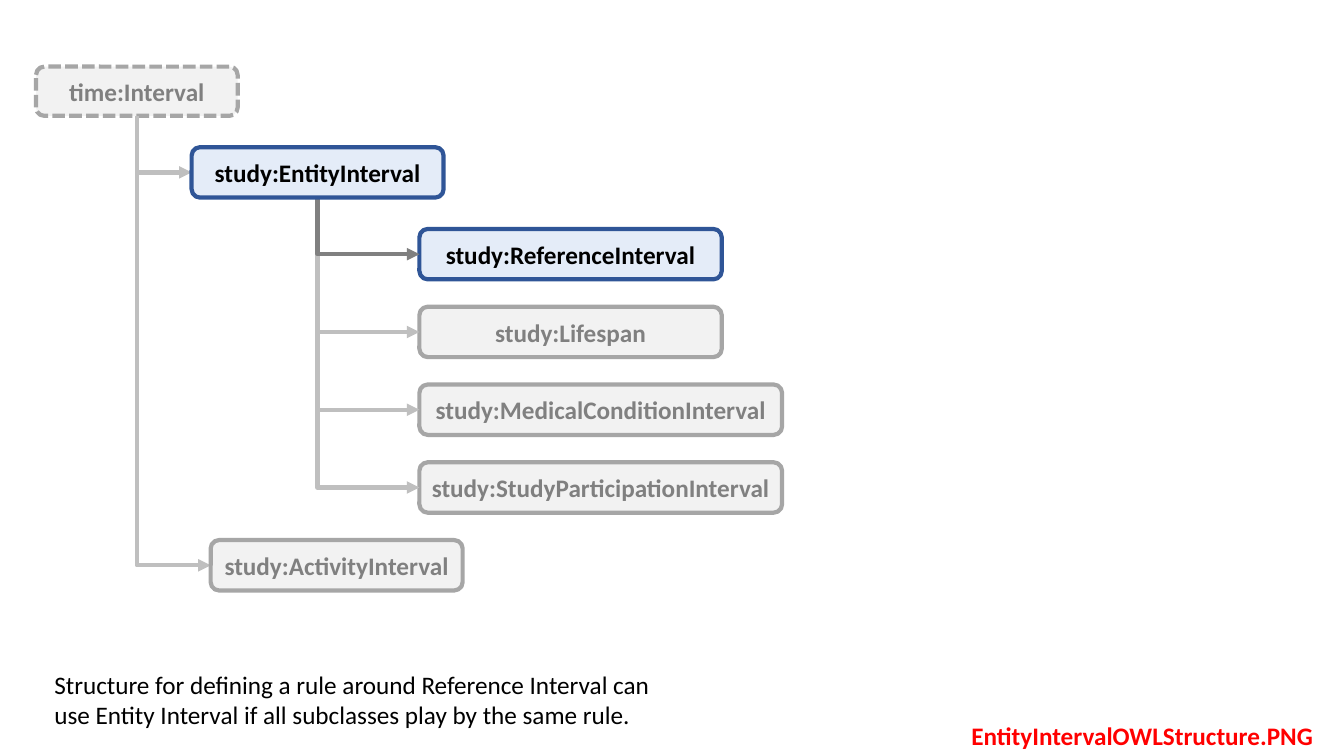
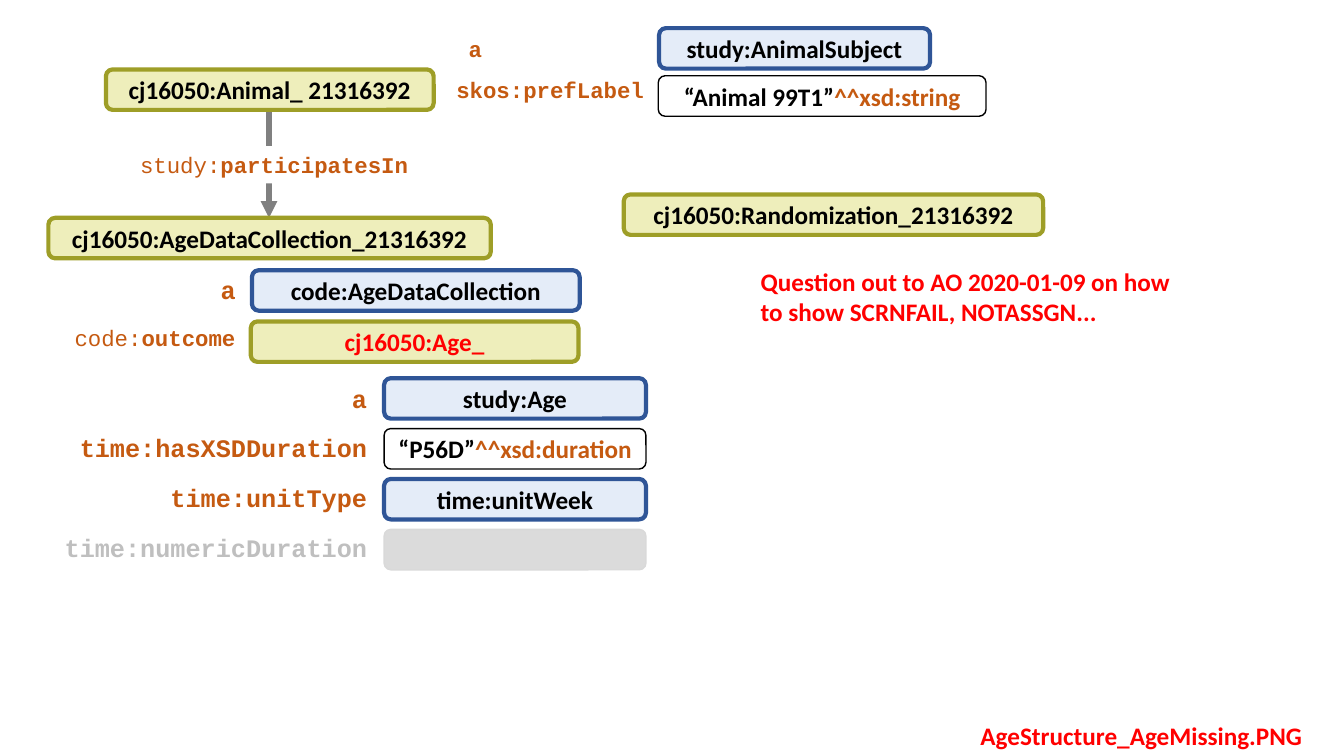
from lxml import etree
from pptx import Presentation
from pptx.dml.color import RGBColor
from pptx.enum import dml, shapes, text
from pptx.oxml import ns
from pptx.util import Cm, Pt

BLACK = RGBColor(0x00, 0x00, 0x00)
WHITE = RGBColor(0xFF, 0xFF, 0xFF)
RED = RGBColor(0xFF, 0x00, 0x00)
RUST = RGBColor(0xC5, 0x5A, 0x11)
DARK = RGBColor(0x80, 0x80, 0x80)
PALE = RGBColor(0xBF, 0xBF, 0xBF)
FOG = RGBColor(0xF2, 0xF2, 0xF2)
STEEL = RGBColor(0xA6, 0xA6, 0xA6)
ICE = RGBColor(0xE4, 0xEC, 0xF8)
NAVY = RGBColor(0x2F, 0x55, 0x97)
LIME = RGBColor(0xEE, 0xEE, 0xBB)
OLIVE = RGBColor(0x9E, 0x9E, 0x27)
ASH = RGBColor(0xDB, 0xDB, 0xDB)
RIM = RGBColor(0xD9, 0xD9, 0xD9)

MUTED = (FOG, STEEL, 3, DARK)
CLASS = (ICE, NAVY, 3, BLACK)
NODE = (LIME, OLIVE, 3, BLACK)
ALERT = (LIME, OLIVE, 3, RED)
VALUE = (WHITE, BLACK, 1, BLACK)
EMPTY = (ASH, RIM, 1, BLACK)

SANS, MONO = "Calibri", "Courier New"
LOW = 1.02
LEFT, RIGHT = text.PP_ALIGN.LEFT, text.PP_ALIGN.RIGHT


def write(frame, runs, align, face=SANS, size=18):
    """Fill a frame with one paragraph of (words, colour, bold) runs."""
    para = frame.paragraphs[0]
    para.alignment = align
    for words, color, bold in runs:
        run = para.add_run()
        run.text = words
        run.font.name, run.font.size = face, Pt(size)
        run.font.bold, run.font.color.rgb = bold, color


def box(page, x, y, wide, words, style, high=LOW, kind="", dash=False):
    """Add a rounded box with a bold name and an optional data type."""
    fill, edge, width, ink = style
    item = page.shapes.add_shape(shapes.MSO_SHAPE.ROUNDED_RECTANGLE,
                                 Cm(x), Cm(y), Cm(wide), Cm(high))
    item.shadow.inherit = False
    item.fill.solid()
    item.fill.fore_color.rgb = fill
    item.line.color.rgb, item.line.width = edge, Pt(width)
    if dash:
        item.line.dash_style = dml.MSO_LINE.SQUARE_DOT
    frame = item.text_frame
    frame.word_wrap = False
    frame.vertical_anchor = text.MSO_ANCHOR.MIDDLE
    runs = [(part, color, True) for part, color in ((words, ink), (kind, RUST)) if part]
    write(frame, runs, text.PP_ALIGN.CENTER)


def note(page, x, y, wide, high, runs, align=LEFT, face=SANS, size=18):
    """Add a wrapping text box."""
    item = page.shapes.add_textbox(Cm(x), Cm(y), Cm(wide), Cm(high))
    item.text_frame.word_wrap = True
    write(item.text_frame, runs, align, face, size)
    return item


def label(page, x, y, wide, words, head="", size=18, align=LEFT, ink=RUST):
    """Add a property name on white, with an optional light prefix."""
    runs = [(part, ink, bold) for part, bold in ((head, False), (words, True)) if part]
    item = note(page, x, y, wide, LOW if size == 18 else 0.94, runs, align, MONO, size)
    item.fill.solid()
    item.fill.fore_color.rgb = WHITE


def footer(page, x, wide, words):
    """Add the red file name at the foot."""
    note(page, x, 18.03, wide, LOW, [(words, RED, True)])


def arrow(page, kind, ends, color, width):
    """Add a connector with a triangle at its end."""
    item = page.shapes.add_connector(kind, *map(Cm, ends))
    item.line.color.rgb, item.line.width = color, Pt(width)
    line = item.line._get_or_add_ln()
    etree.SubElement(line, ns.qn("a:tailEnd"), type="triangle")
    etree.SubElement(item._element.spPr, ns.qn("a:effectLst"))
    return item


def bend(page, x, y, endx, endy, color=PALE):
    """Add an arrow that runs down, then right."""
    midx, midy = (x + endx) / 2, (y + endy) / 2
    halfx, halfy = (endx - x) / 2, (endy - y) / 2
    ends = midx + halfy, midy - halfx, midx - halfy, midy + halfx
    item = arrow(page, shapes.MSO_CONNECTOR.ELBOW, ends, color, 3)
    form = item._element.spPr
    form.find(ns.qn("a:xfrm")).set("rot", "16200000")
    form.find(ns.qn("a:prstGeom")).set("prst", "bentConnector2")


def tree(page):
    """Draw the interval class tree."""
    high = 1.27
    box(page, 0.91, 1.68, 5.08, "time:Interval", MUTED, 1.24, dash=True)
    leaves = (("ReferenceInterval", 7.62, CLASS, DARK),
              ("Lifespan", 7.62, MUTED, PALE),
              ("MedicalConditionInterval", 9.14, MUTED, PALE),
              ("StudyParticipationInterval", 9.14, MUTED, PALE))
    for row, (name, wide, style, color) in reversed(list(enumerate(leaves))):
        top = 5.77 + 1.96 * row
        box(page, 10.57, top, wide, "study:" + name, style, high)
        bend(page, 8, 4.98, 10.57, top + high / 2, color)
    for name, x, y, style in (("ActivityInterval", 5.31, 13.61, MUTED),
                              ("EntityInterval", 4.83, 3.71, CLASS)):
        bend(page, 3.45, 2.92, x, y + high / 2)
        box(page, x, y, 6.35, "study:" + name, style, high)
    note(page, 1.12, 16.74, 16.48, 1.8,
         [("Structure for defining a rule around Reference Interval can "
           "use Entity Interval if all subclasses play by the same rule. ", BLACK, False)])
    footer(page, 24.23, 9.27, "EntityIntervalOWLStructure.PNG")


def ages(page):
    """Draw the age data of one animal."""
    wide = 8.26
    arrow(page, shapes.MSO_CONNECTOR.STRAIGHT, (6.78, 2.77, 6.78, 5.49), DARK, 4)
    label(page, 3.28, 3.68, 10.67, "participatesIn", "study:", 16)
    label(page, 1.63, 8.05, 4.6, "outcome", "code:", 16)
    label(page, 11.56, 0.76, 0.91, "a", size=16)
    label(page, 11.25, 1.8, 5.31, "skos:prefLabel", size=16)
    label(page, 5.31, 6.78, 0.76, "a")

    box(page, 2.67, 1.75, wide, "cj16050:Animal_ 21316392", NODE)
    box(page, 16.61, 0.71, 6.83, "study:AnimalSubject", CLASS)
    box(page, 16.59, 1.91, wide, "“Animal 99T1”", VALUE, kind="^^xsd:string")
    box(page, 1.22, 5.49, 11.15, "cj16050:AgeDataCollection_21316392", NODE)
    box(page, 6.35, 6.81, wide, "code:AgeDataCollection", CLASS)
    box(page, 6.32, 8.1, wide, "cj16050:Age_", ALERT)
    box(page, 15.72, 4.9, 10.57, "cj16050:Randomization_21316392", NODE)

    facts = (("a", 0.91, RUST, "study:Age", "", CLASS),
             ("time:hasXSDDuration", 7.75, RUST, "“P56D”", "^^xsd:duration", VALUE),
             ("time:unitType", 5.51, RUST, "time:unitWeek", "", CLASS),
             ("time:numericDuration", 8.2, PALE, "", "", EMPTY))
    for row, (name, span, ink, words, kind, style) in enumerate(facts):
        label(page, 9.5 - span, 9.53 + 1.25 * row, span, name, align=RIGHT, ink=ink)
        box(page, 9.68, 9.53 + 1.27 * row, 6.6, words, style, kind=kind)

    note(page, 18.92, 6.58, 11.25, 1.8,
         [("Question out to AO 2020-01-09 on how to show SCRNFAIL, NOTASSGN...", RED, True)])
    footer(page, 24.46, 11.25, "AgeStructure_AgeMissing.PNG")


def main():
    """Build and save both slides."""
    deck = Presentation()
    deck.slide_width, deck.slide_height = Cm(33.87), Cm(19.05)
    for draw in (tree, ages):
        draw(deck.slides.add_slide(deck.slide_layouts[6]))
    deck.save("out.pptx")


main()
